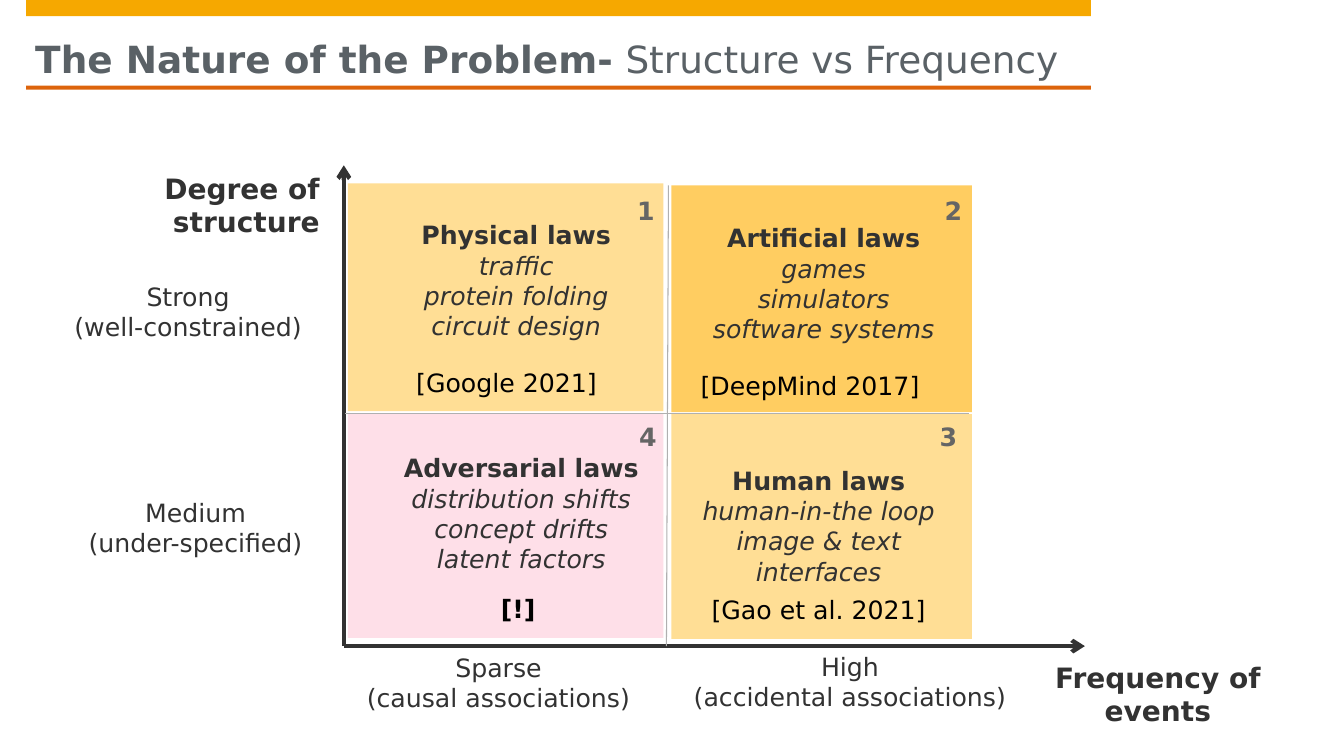
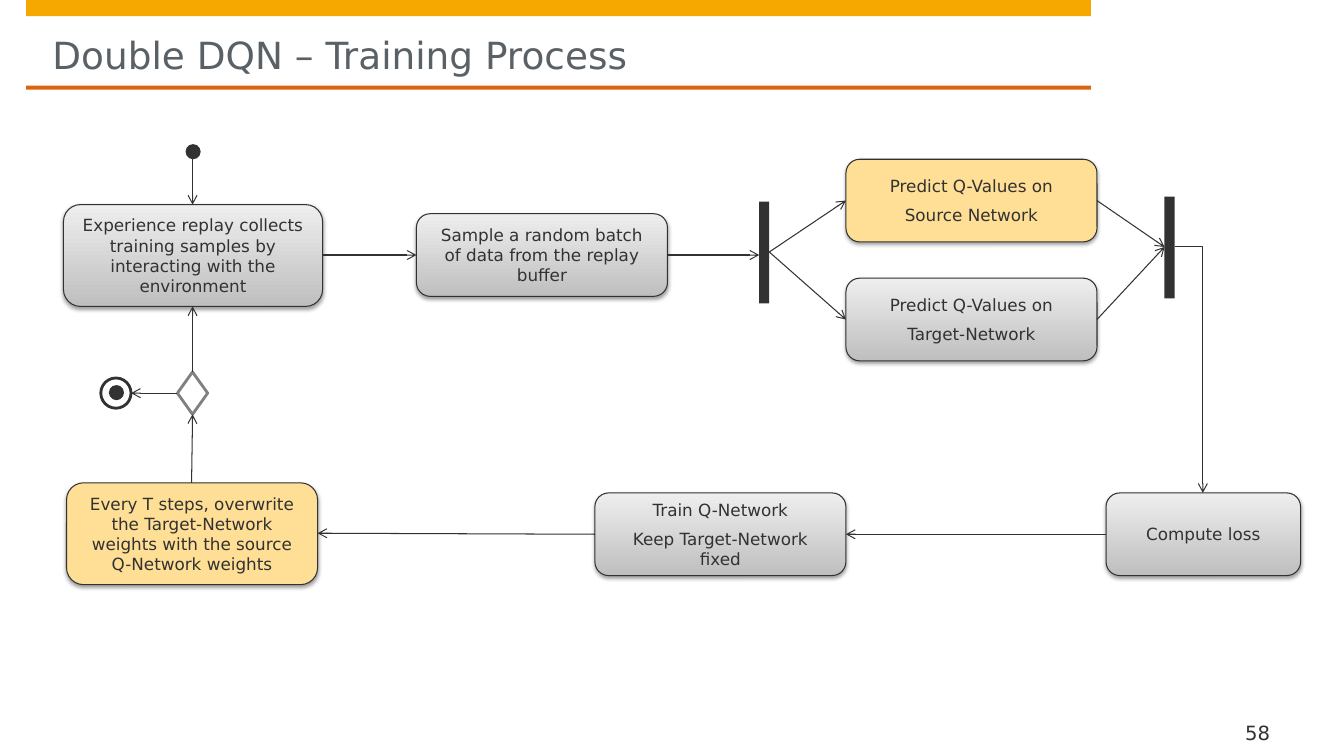
from collections import namedtuple

from lxml import etree
from pptx import Presentation
from pptx.dml.color import RGBColor
from pptx.enum.shapes import MSO_CONNECTOR, MSO_SHAPE
from pptx.enum.text import MSO_ANCHOR, PP_ALIGN
from pptx.oxml.ns import qn
from pptx.util import Emu, Pt

STRAIGHT, ELBOW = MSO_CONNECTOR.STRAIGHT, MSO_CONNECTOR.ELBOW
RECT, ROUND = MSO_SHAPE.RECTANGLE, MSO_SHAPE.ROUNDED_RECTANGLE
OVAL, DIAMOND = MSO_SHAPE.OVAL, MSO_SHAPE.DIAMOND
TOP, MIDDLE, BOTTOM = MSO_ANCHOR.TOP, MSO_ANCHOR.MIDDLE, MSO_ANCHOR.BOTTOM
LEFT, CENTER, RIGHT = PP_ALIGN.LEFT, PP_ALIGN.CENTER, PP_ALIGN.RIGHT

FONT = "DejaVu Sans"
INK, TITLE_GREY, NUMBER_GREY = "323232", "5A6166", "656565"
BLACK, WHITE, GRID_GREY, DIAMOND_GREY = "000000", "FFFFFF", "B0B0B0", "808080"
BAND, RULE = "F6A800", "DD640C"
SAND, AMBER, PINK = "FFDE95", "FFCD61", "FEDFE8"
STEEL = ("BFBFBF", "EEEEEE")  # gradient from bottom to top

Box = namedtuple("Box", "x y w h")
Span = namedtuple("Span", "text bold italic", defaults=(False, False))


def px(length):
    """100 px to the inch."""
    return Emu(length * 9144)


def rgb(code):
    return RGBColor.from_string(code)


def side(box, name):
    """Middle of one side of a box."""
    middle_x, middle_y = box.x + box.w // 2, box.y + box.h // 2
    return {
        "left": (box.x, middle_y),
        "right": (box.x + box.w, middle_y),
        "top": (middle_x, box.y),
        "bottom": (middle_x, box.y + box.h),
    }[name]


# Text
def write(frame, lines, size, color=INK, align=LEFT, anchor=TOP,
          insets=(10, 5, 10, 5), gap=0):
    """Fill a text frame; each line is a list of spans."""
    frame.word_wrap = True
    frame.vertical_anchor = anchor
    (frame.margin_left, frame.margin_top,
     frame.margin_right, frame.margin_bottom) = map(px, insets)
    for index, spans in enumerate(lines):
        para = frame.paragraphs[0] if index == 0 else frame.add_paragraph()
        para.alignment = align
        if index and gap:
            para.space_before = Pt(gap)
        for span in spans:
            run = para.add_run()
            run.text = span.text
            run.font.name = FONT
            run.font.size = Pt(size)
            run.font.bold = span.bold
            run.font.italic = span.italic
            run.font.color.rgb = rgb(color)


def plain(*texts, bold=False):
    return [[Span(text, bold)] for text in texts]


def add_text(page, box, lines, size, **style):
    frame = page.shapes.add_textbox(*map(px, box)).text_frame
    write(frame, lines, size, **style)


# Shapes and lines
def add_shape(page, kind, box, fill, line=None, width=0.75):
    shape = page.shapes.add_shape(kind, *map(px, box))
    shape.shadow.inherit = False
    if isinstance(fill, tuple):
        shape.fill.gradient()
        shape.fill.gradient_angle = 90
        for stop, code in zip(shape.fill.gradient_stops, fill):
            stop.color.rgb = rgb(code)
    else:
        shape.fill.solid()
        shape.fill.fore_color.rgb = rgb(fill)
    if line:
        shape.line.color.rgb = rgb(line)
        shape.line.width = Pt(width)
    else:
        shape.line.fill.background()
    return shape


def add_line(page, start, end, color=INK, width=0.75, arrow=True, kind=STRAIGHT):
    line = page.shapes.add_connector(kind, *map(px, start + end))
    line.line.color.rgb = rgb(color)
    line.line.width = Pt(width)
    properties = line._element.spPr
    if arrow:
        etree.SubElement(properties.find(qn("a:ln")), qn("a:tailEnd"), type="arrow")
    if kind == ELBOW:  # a single corner
        properties.find(qn("a:prstGeom")).set("prst", "bentConnector2")
    etree.SubElement(properties, qn("a:effectLst"))


def drop_shadow(shape):
    effects = shape._element.spPr.find(qn("a:effectLst"))
    shadow = etree.SubElement(
        effects, qn("a:outerShdw"), blurRad=str(Pt(3.1)), dist=str(Pt(1.6)),
        dir="5400000", rotWithShape="0")
    color = etree.SubElement(shadow, qn("a:srgbClr"), val=BLACK)
    etree.SubElement(color, qn("a:alpha"), val="38000")


# Parts shared by both slides
def new_page(deck, title_box, title):
    page = deck.slides.add_slide(deck.slide_layouts[6])
    add_shape(page, RECT, Box(26, 0, 1056, 16), BAND)
    add_shape(page, RECT, Box(26, 85, 1056, 4), RULE)
    add_text(page, title_box, [title], 26.7, color=TITLE_GREY, insets=(0, 16, 0, 0))
    return page


# Slide 1: matrix
def add_quadrant(page, cell, fill, number, number_at, text_box, name, examples,
                 source, source_at):
    """One cell; the other places are relative to its corner."""
    def inside(x, y, w, h):
        return Box(cell.x + x, cell.y + y, w, h)

    add_shape(page, RECT, cell, fill)
    lines = plain(name, bold=True) + [[Span(text, italic=True)] for text in examples]
    add_text(page, inside(*text_box), lines, 18, align=CENTER, anchor=MIDDLE)
    add_text(page, inside(*number_at, 48, 40), plain(number, bold=True), 18,
             color=NUMBER_GREY)
    add_text(page, inside(*source_at, 260, 40),
             plain(source, bold=source == "[!]"), 18, color=BLACK)


def add_axes(page, origin, top, right):
    add_line(page, origin, (origin[0], top), width=3)
    add_line(page, origin, (right, origin[1]), width=3)
    add_text(page, Box(1032, 650, 233, 77), plain("Frequency of events", bold=True),
             20, align=CENTER)
    add_text(page, Box(145, 165, 182, 77), plain("Degree of structure", bold=True),
             20, align=RIGHT)
    labels = [
        (Box(346, 642, 297, 71), "Sparse", "(causal associations)"),
        (Box(672, 641, 342, 71), "High", "(accidental associations)"),
        (Box(67, 488, 254, 71), "Medium", "(under-specified)"),
        (Box(24, 274, 325, 71), "Strong", "(well-constrained)"),
    ]
    for box, level, detail in labels:
        add_text(page, box, plain(level, detail), 18, align=CENTER)


def matrix_slide(deck):
    page = new_page(deck, Box(35, 20, 1150, 61), [
        Span("The Nature of the Problem-", bold=True),
        Span(" Structure vs Frequency")])
    add_axes(page, (341, 641), 164, 1076)
    add_quadrant(page, Box(345, 182, 313, 226), SAND, "1", (277, 7),
                 (40, 11, 254, 170), "Physical laws",
                 ["traffic", "protein folding", "circuit design"],
                 "[Google 2021]", (58, 177))
    add_quadrant(page, Box(666, 184, 298, 225), AMBER, "2", (261, 5),
                 (24, 12, 254, 170), "Artificial laws",
                 ["games", "simulators", "software systems"],
                 "[DeepMind 2017]", (19, 178))
    add_quadrant(page, Box(666, 411, 298, 223), SAND, "3", (256, 2),
                 (-3, -1, 298, 223), "Human laws",
                 ["human-in-the loop", "image & text interfaces"],
                 "[Gao et al. 2021]", (30, 174))
    add_quadrant(page, Box(345, 410, 313, 223), PINK, "4", (279, 3),
                 (36, 28, 272, 142), "Adversarial laws",
                 ["distribution shifts", "concept drifts", "latent factors"],
                 "[!]", (142, 174))
    # Dividers between the cells
    add_line(page, (663, 184), (661, 641), GRID_GREY, arrow=False)
    add_line(page, (961, 410), (342, 410), GRID_GREY, arrow=False)


# Slide 2: activity diagram
def add_step(page, box, fill, *texts):
    step = add_shape(page, ROUND, box, fill, INK)
    drop_shadow(step)
    write(step.text_frame, plain(*texts), 12, align=CENTER, anchor=MIDDLE,
          insets=(12, 8, 12, 8), gap=6)


def process_slide(deck):
    page = new_page(deck, Box(52, 16, 1003, 61),
                    [Span("Double DQN – Training Process")])
    add_text(page, Box(1223, 709, 84, 29), plain("58"), 14, anchor=BOTTOM,
             insets=(12, 0, 0, 0))

    # Steps
    replay = Box(63, 203, 257, 101)
    sample = Box(413, 212, 249, 82)
    source = Box(839, 158, 249, 82)
    target = Box(839, 276, 249, 82)
    loss = Box(1097, 489, 193, 82)
    train = Box(590, 489, 249, 82)
    overwrite = Box(66, 479, 249, 101)
    add_step(page, replay, STEEL, "Experience replay collects training samples "
             "by interacting with the environment")
    add_step(page, sample, STEEL,
             "Sample a random batch of data from the replay buffer")
    add_step(page, source, SAND, "Predict Q-Values on", "Source Network")
    add_step(page, target, STEEL, "Predict Q-Values on", "Target-Network")
    add_step(page, loss, STEEL, "Compute loss")
    add_step(page, train, STEEL, "Train Q-Network", "Keep Target-Network fixed")
    add_step(page, overwrite, SAND, "Every T steps, overwrite the Target-Network "
             "weights with the source Q-Network weights")

    # Start, end, decision, fork and join
    start = Box(184, 143, 15, 15)
    finish = Box(100, 375, 30, 30)
    decision = Box(176, 369, 30, 42)
    fork = Box(753, 200, 10, 101)
    join = Box(1155, 195, 10, 101)
    add_shape(page, OVAL, start, INK)
    add_shape(page, OVAL, finish, WHITE, INK, 2)
    add_shape(page, OVAL, Box(finish.x + 8, finish.y + 7, 15, 15), INK)
    add_shape(page, DIAMOND, decision, WHITE, DIAMOND_GREY, 2)
    for bar in (fork, join):
        add_shape(page, RECT, bar, INK)

    # Flow
    flow = [
        (start, "bottom", replay, "top"),
        (replay, "right", sample, "left"),
        (fork, "right", source, "left"),
        (fork, "right", target, "left"),
        (source, "right", join, "left"),
        (target, "right", join, "left"),
        (loss, "left", train, "right"),
        (train, "left", overwrite, "right"),
        (overwrite, "top", decision, "bottom"),
        (decision, "top", replay, "bottom"),
        (decision, "left", finish, "right"),
    ]
    for origin, exit_side, goal, entry_side in flow:
        add_line(page, side(origin, exit_side), side(goal, entry_side))
    sample_exit = side(sample, "right")
    add_line(page, sample_exit, (fork.x, sample_exit[1]))
    add_line(page, side(join, "right"), side(loss, "top"), kind=ELBOW)


def main():
    deck = Presentation()
    deck.slide_width, deck.slide_height = px(1333), px(750)
    matrix_slide(deck)
    process_slide(deck)
    deck.save("out.pptx")


if __name__ == "__main__":
    main()
